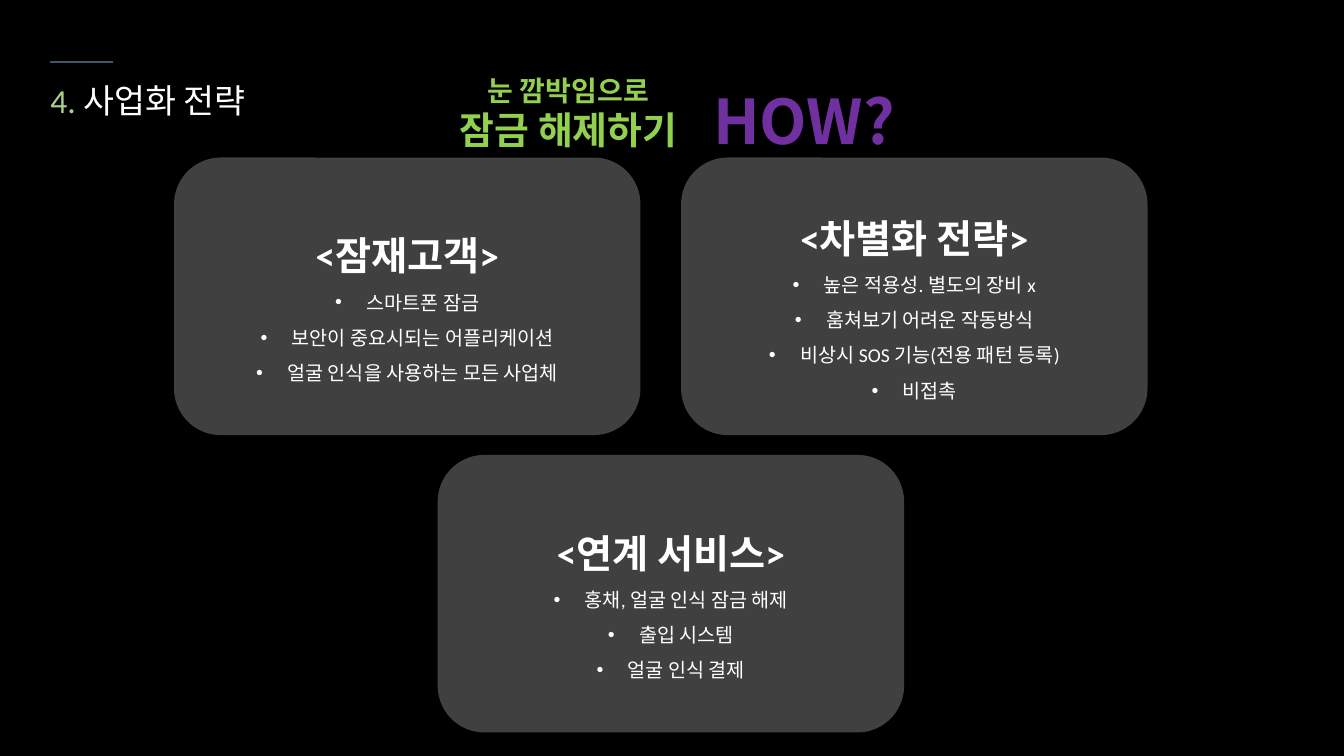
from lxml.etree import SubElement as Sub
from pptx import Presentation
from pptx.dml.color import RGBColor as Rgb
from pptx.enum.shapes import MSO_CONNECTOR as Link, MSO_SHAPE as Form
from pptx.enum.text import MSO_ANCHOR as Anchor, MSO_AUTO_SIZE as Fit, PP_ALIGN as Align
from pptx.oxml.ns import qn
from pptx.util import Inches, Pt

HUE = {"back": "000000", "card": "404040", "text": "FFFFFF", "rule": "44546A",
       "number": "A9D18E", "lime": "92D050", "how": "7030A0"}
LATIN, KOREAN = "Calibri", "Noto Sans CJK KR"
WIDE, HIGH = Inches(13.33), Inches(7.5)

# Card grid, in percent of the slide
CARD_W, CARD_H = 34.6, 36.53
LEFT, TOP = 13, 20.93
COL, ROW = 37.73, 39.33

CARDS = [
    (0, 0, "<잠재고객>", ["스마트폰 잠금", "보안이 중요시되는 어플리케이션",
                      "얼굴 인식을 사용하는 모든 사업체"]),
    (1, 0, "<차별화 전략>", ["높은 적용성. 별도의 장비 x", "훔쳐보기 어려운 작동방식",
                        "비상시 SOS 기능(전용 패턴 등록)", "비접촉"]),
    (0.52, 1, "<연계 서비스>", ["홍채, 얼굴 인식 잠금 해제", "출입 시스템", "얼굴 인식 결제"]),
]


def place(x, y, w, h):
    """Turn percentages of the slide into lengths."""
    return [int(part * size / 100) for part, size in zip((x, y, w, h), (WIDE, HIGH) * 2)]


def tint(hue):
    return Rgb.from_string(HUE[hue])


def write(para, text, size, hue, bold=False, face=LATIN):
    run = para.add_run()
    run.text = text
    font = run.font
    font.size, font.bold, font.name = Pt(size), bold, face
    font.color.rgb = tint(hue)
    Sub(font._element, qn("a:ea"), typeface=KOREAN)


def lines(frame, count):
    """Give the frame a number of paragraphs, all centred."""
    for _ in range(count - 1):
        frame.add_paragraph()
    for para in frame.paragraphs:
        para.alignment = Align.CENTER
    return frame.paragraphs


def bullet(para):
    props = para._p.get_or_add_pPr()
    props.set("marL", str(Inches(0.31)))
    props.set("indent", str(-Inches(0.31)))
    Sub(props, qn("a:buFont"), typeface="Arial")
    Sub(props, qn("a:buChar"), char="•")


def header(slide, box):
    # Short rule above the section title
    x, y, w, h = box
    rule = slide.shapes.add_connector(Link.STRAIGHT, x + w // 36, y - h // 4,
                                      x + w // 5, y - h // 4)
    rule.line.color.rgb = tint("rule")
    rule.line.width = Pt(1.75)
    Sub(rule._element.spPr, qn("a:effectLst"))

    # Section title
    title = slide.shapes.title
    title.left, title.top, title.width, title.height = box
    frame = title.text_frame
    frame.auto_size, frame.vertical_anchor = Fit.NONE, Anchor.TOP
    para = frame.paragraphs[0]
    para.alignment = Align.LEFT
    write(para, "4. ", 24, "number")
    write(para, "사업화 전략", 24, "text")


def slogan(slide, box, rows, hue):
    frame = slide.shapes.add_textbox(*box).text_frame
    frame.word_wrap = False
    for para, (text, size) in zip(lines(frame, len(rows)), rows):
        write(para, text, size, hue, True, KOREAN)


def card(slide, box, head, items):
    shape = slide.shapes.add_shape(Form.ROUNDED_RECTANGLE, *box)
    shape.shadow.inherit = False
    shape.fill.solid()
    shape.fill.fore_color.rgb = tint("card")
    shape.line.color.rgb = tint("card")
    shape.line.width = Pt(1)
    frame = shape.text_frame
    frame.word_wrap, frame.vertical_anchor = True, Anchor.MIDDLE
    first, *rest = lines(frame, len(items) + 1)
    first.line_spacing = 1.5
    write(first, head, 28, "text", True)
    for para, item in zip(rest, items):
        para.line_spacing = 1.5
        bullet(para)
        write(para, item, 14, "text")


def main():
    deck = Presentation()
    deck.slide_width, deck.slide_height = WIDE, HIGH
    slide = deck.slides.add_slide(deck.slide_layouts[5])
    slide.background.fill.solid()
    slide.background.fill.fore_color.rgb = tint("back")

    # Heading
    header(slide, place(3, 9.87, 27.2, 6.8))
    slogan(slide, place(32.5, 9.07, 19.6, 11.87),
           [("눈 깜박임으로", 20), ("잠금 해제하기", 27)], "lime")
    slogan(slide, place(52.1, 10.27, 15.45, 11.2), [("HOW?", 44)], "how")

    # Cards
    for col, row, head, items in CARDS:
        box = place(LEFT + col * COL, TOP + row * ROW, CARD_W, CARD_H)
        card(slide, box, head, items)
    deck.save("out.pptx")


if __name__ == "__main__":
    main()
